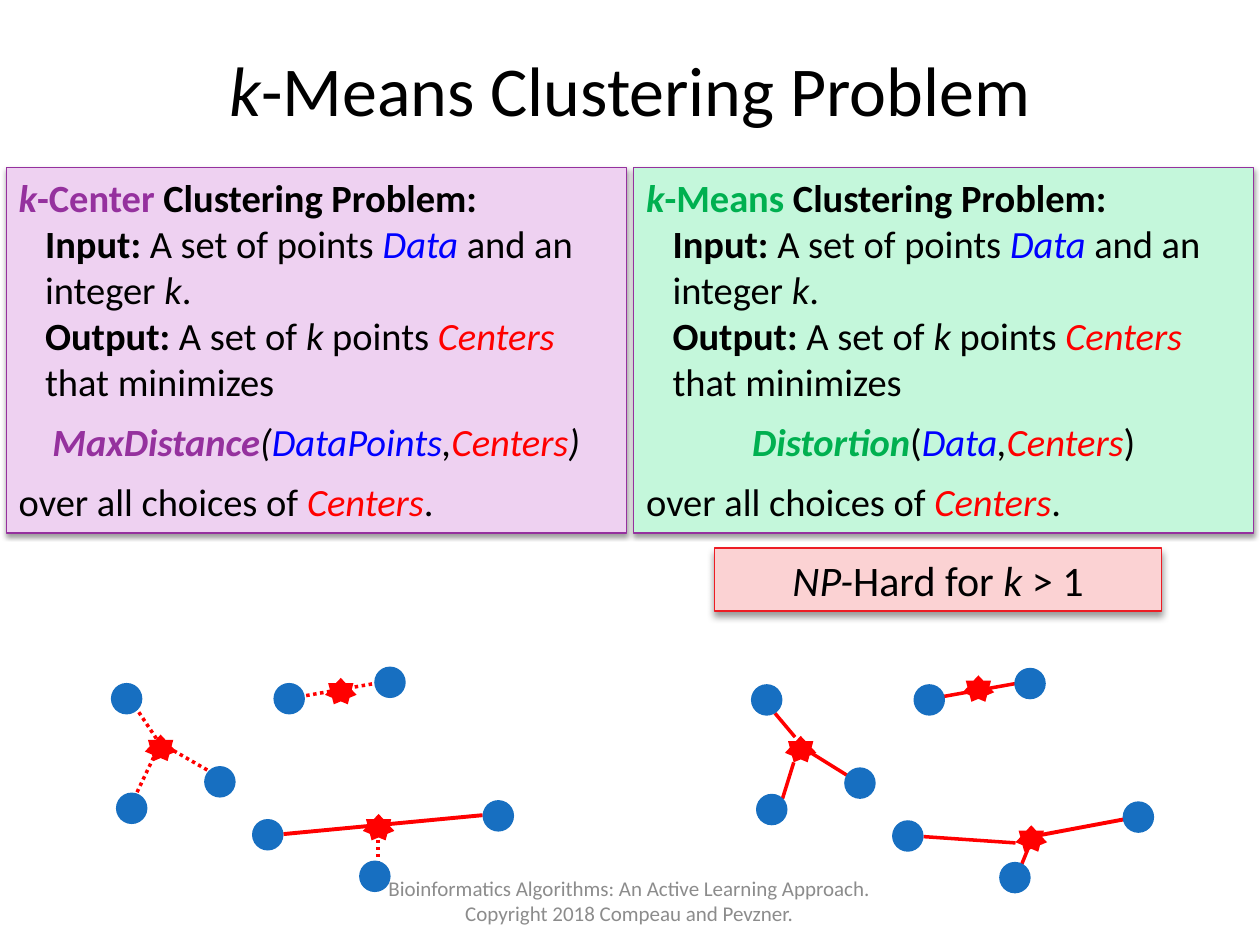
import pptx
import pptx.util
import pptx.dml.color
import pptx.enum.dml
import pptx.enum.shapes
import pptx.enum.text
import pptx.oxml
import pptx.oxml.ns

PX = 9144  # 100 px to the inch
RGB = pptx.dml.color.RGBColor
BLACK = RGB(0, 0, 0)
WHITE = RGB(255, 255, 255)
GREY = RGB(0x8C, 0x8C, 0x8C)
RED = RGB(255, 0, 0)
BLUE = RGB(0, 0, 255)
DOT = RGB(0x17, 0x6F, 0xC1)
PURPLE = RGB(0x95, 0x31, 0x9E)
GREEN = RGB(0, 0xB0, 0x50)
LILAC = RGB(0xEE, 0xD1, 0xF1)
MINT = RGB(0xC4, 0xF7, 0xDB)
PINK = RGB(0xFB, 0xD2, 0xD3)
CRIMSON = RGB(0xED, 0x1C, 0x24)
KIND = pptx.enum.shapes.MSO_SHAPE
MIDDLE = pptx.enum.text.MSO_ANCHOR.MIDDLE
CENTER = pptx.enum.text.PP_ALIGN.CENTER
LEFT = pptx.enum.text.PP_ALIGN.LEFT


def write(par, runs, size, align=LEFT):
    """Fill a paragraph from (text, colour, style) runs; "|" breaks the line."""
    par.alignment = align
    for text, color, style in runs:
        if text == "|":
            par.add_line_break()
            continue
        run = par.add_run()
        run.text = text
        run.font.name = "Calibri"
        run.font.size = pptx.util.Pt(size)
        run.font.bold = "b" in style
        run.font.italic = "i" in style
        run.font.color.rgb = color


def panel(x, y, w, h, fill, edge, alpha, blur, dist):
    """Add a bordered rectangle with a soft shadow below; return its text frame."""
    box = slide.shapes.add_shape(KIND.RECTANGLE, x * PX, y * PX, w * PX, h * PX)
    box.shadow.inherit = False
    box.fill.solid()
    box.fill.fore_color.rgb = fill
    box.line.color.rgb = edge
    box.line.width = pptx.util.Pt(0.75)
    glow = box._element.spPr.find(pptx.oxml.ns.qn("a:effectLst"))
    glow.append(pptx.oxml.parse_xml(
        f'<a:outerShdw {pptx.oxml.ns.nsdecls("a")} blurRad="{int(blur * 12700)}" '
        f'dist="{int(dist * 12700)}" dir="5400000" rotWithShape="0">'
        f'<a:srgbClr val="000000"><a:alpha val="{alpha * 1000}"/></a:srgbClr>'
        '</a:outerShdw>'))
    frame = box.text_frame
    frame.word_wrap = True
    frame.vertical_anchor = pptx.enum.text.MSO_ANCHOR.TOP
    return frame


deck = pptx.Presentation()
deck.slide_width = 1000 * PX
deck.slide_height = 750 * PX
slide = deck.slides.add_slide(deck.slide_layouts[6])

# Links: x1, y1, x2, y2, width, dotted
links = [
    (104, 556, 128, 592, 2, True),
    (133, 593, 166, 612, 2, True),
    (122, 601, 102, 643, 2, True),
    (232, 554, 300, 542, 2, True),
    (300, 661, 300, 704, 2, True),
    (225, 662, 383, 647, 2.25, False),
    (615, 566, 631, 585, 2, False),
    (638, 594, 683, 622, 2, False),
    (630, 605, 621, 634, 2, False),
    (742, 554, 809, 542, 2, False),
    (733, 664, 806, 669, 2, False),
    (817, 671, 808, 693, 2, False),
    (819, 664, 899, 649, 2.25, False),
]
for x1, y1, x2, y2, width, dotted in links:
    link = slide.shapes.add_connector(
        pptx.enum.shapes.MSO_CONNECTOR.STRAIGHT, x1 * PX, y1 * PX, x2 * PX, y2 * PX)
    link.line.color.rgb = RED
    link.line.width = pptx.util.Pt(width)
    if dotted:
        link.line.dash_style = pptx.enum.dml.MSO_LINE.ROUND_DOT
    link._element.spPr.append(
        pptx.oxml.parse_xml(f'<a:effectLst {pptx.oxml.ns.nsdecls("a")}/>'))

# The same points on both sides; only the centers differ
points = [(88, 542), (162, 608), (92, 629), (217, 542),
          (297, 529), (200, 650), (383, 635), (285, 683)]
points += [(x + 508, y + 1) for x, y in points]
stars = [(115, 583), (258, 538), (288, 646),
         (623, 584), (764, 536), (806, 655)]
for kind, spots, height, color in ((KIND.OVAL, points, 25, DOT),
                                   (KIND.STAR_7_POINT, stars, 21, RED)):
    for x, y in spots:
        mark = slide.shapes.add_shape(kind, x * PX, y * PX, 25 * PX, height * PX)
        mark.shadow.inherit = False
        mark.fill.solid()
        mark.fill.fore_color.rgb = color
        mark.line.fill.background()

# Problem statements
sides = [
    (5, LILAC, PURPLE, "k", "-Center ", "Clustering Problem:",
     [("MaxDistance", PURPLE, "bi"), ("(", BLACK, "i"), ("DataPoints", BLUE, "i"),
      (",", BLACK, "i"), ("Centers", RED, "i"), (")", BLACK, "i")]),
    (503, MINT, GREEN, "k", "-Means ", "Clustering Problem:",
     [("Distortion", GREEN, "bi"), ("(", BLACK, ""), ("Data", BLUE, "i"),
      (",", BLACK, "i"), ("Centers", RED, "i"), (")", BLACK, "")]),
]
for x, fill, color, letter, name, rest, goal in sides:
    frame = panel(x, 133, 492, 290, fill, PURPLE, 38, 3.1, 1.6)
    rows = [
        [(letter, color, "bi"), (name, color, "b"), (rest, BLACK, "b")],
        [("Input:", BLACK, "b"), (" A set of points ", BLACK, ""),
         ("Data", BLUE, "i"), (" and an", BLACK, ""), ("|", BLACK, ""),
         ("integer ", BLACK, ""), ("k", BLACK, "i"), (".", BLACK, "")],
        [("Output:", BLACK, "b"), (" A set of ", BLACK, ""), ("k", BLACK, "i"),
         (" points ", BLACK, ""), ("Centers", RED, "i"), ("|", BLACK, ""),
         ("that minimizes", BLACK, "")],
        goal,
        [("over all choices of ", BLACK, ""), ("Centers", RED, "i"),
         (".", BLACK, "")],
    ]
    for i, runs in enumerate(rows):
        par = frame.paragraphs[0] if i == 0 else frame.add_paragraph()
        if i in (1, 2):
            par._p.get_or_add_pPr().set("marL", str(21 * PX))
        if i > 2:
            par.line_spacing = 1.3
        write(par, runs, 22, CENTER if i == 3 else LEFT)

note = panel(567, 435, 355, 50, PINK, CRIMSON, 40, 4, 3)
write(note.paragraphs[0], [("NP-", BLACK, "i"), ("Hard for ", BLACK, ""),
                           ("k", BLACK, "i"), (" > 1", BLACK, "")], 24, CENTER)

# Title and footer
labels = [
    (50, 8, 900, 125, 40,
     [("k", BLACK, "i"), ("-Means Clustering Problem", BLACK, "")]),
    (283, 695, 433, 40, 12,
     [("Bioinformatics Algorithms: An Active Learning Approach. "
       "Copyright 2018 Compeau and Pevzner.", GREY, "")]),
]
for x, y, w, h, size, runs in labels:
    frame = slide.shapes.add_textbox(x * PX, y * PX, w * PX, h * PX).text_frame
    frame.word_wrap = True
    frame.vertical_anchor = MIDDLE
    write(frame.paragraphs[0], runs, size, CENTER)

deck.save("out.pptx")
